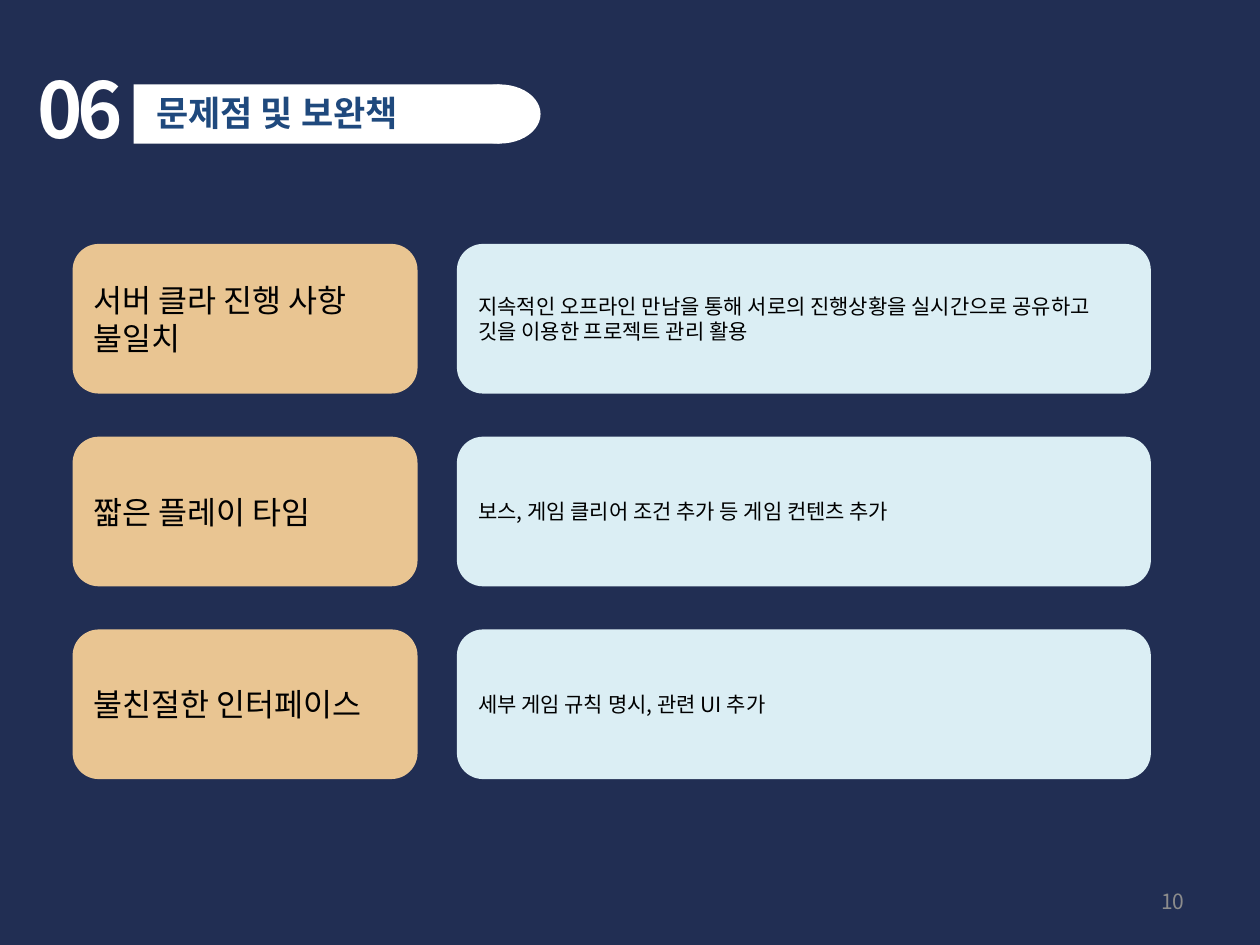
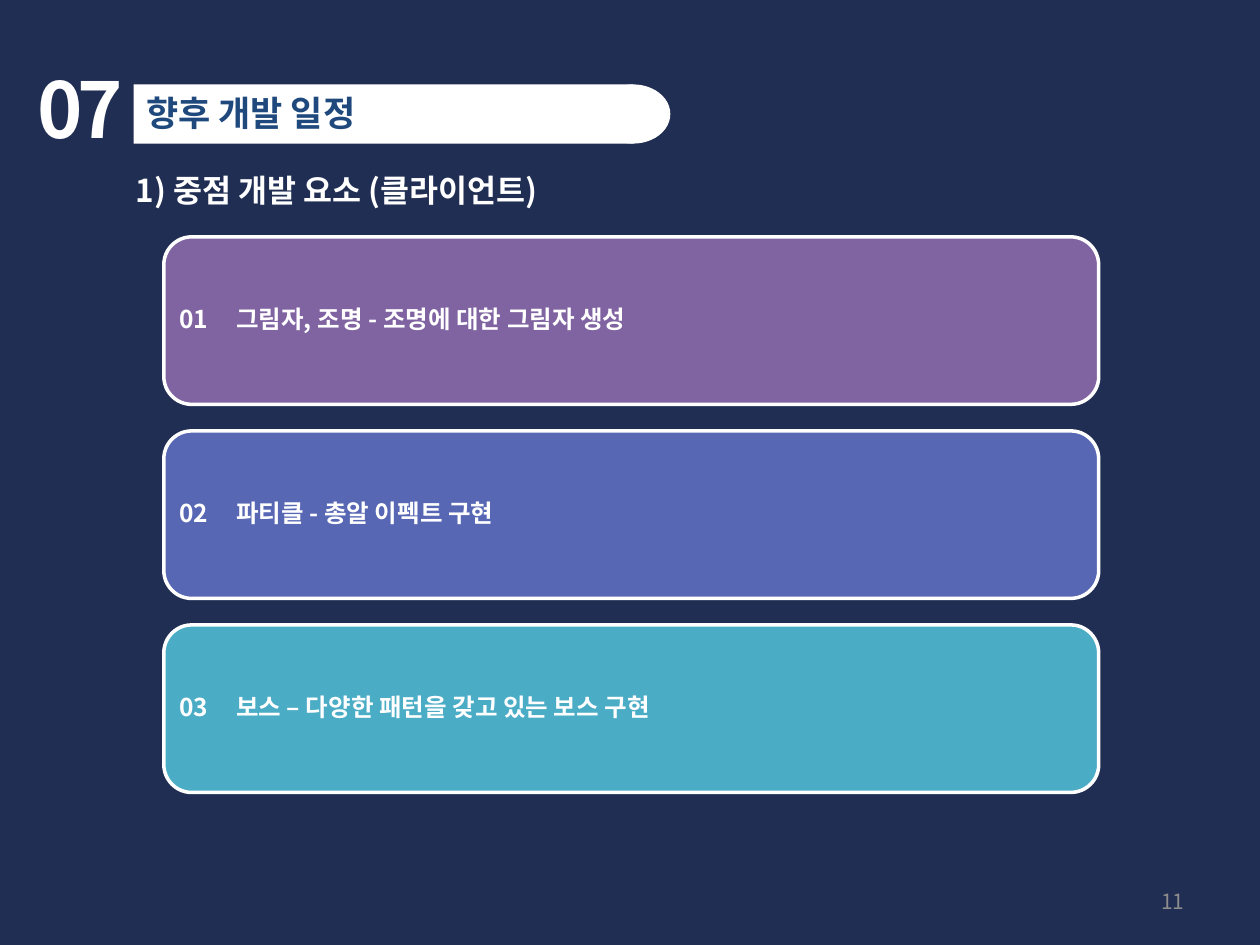
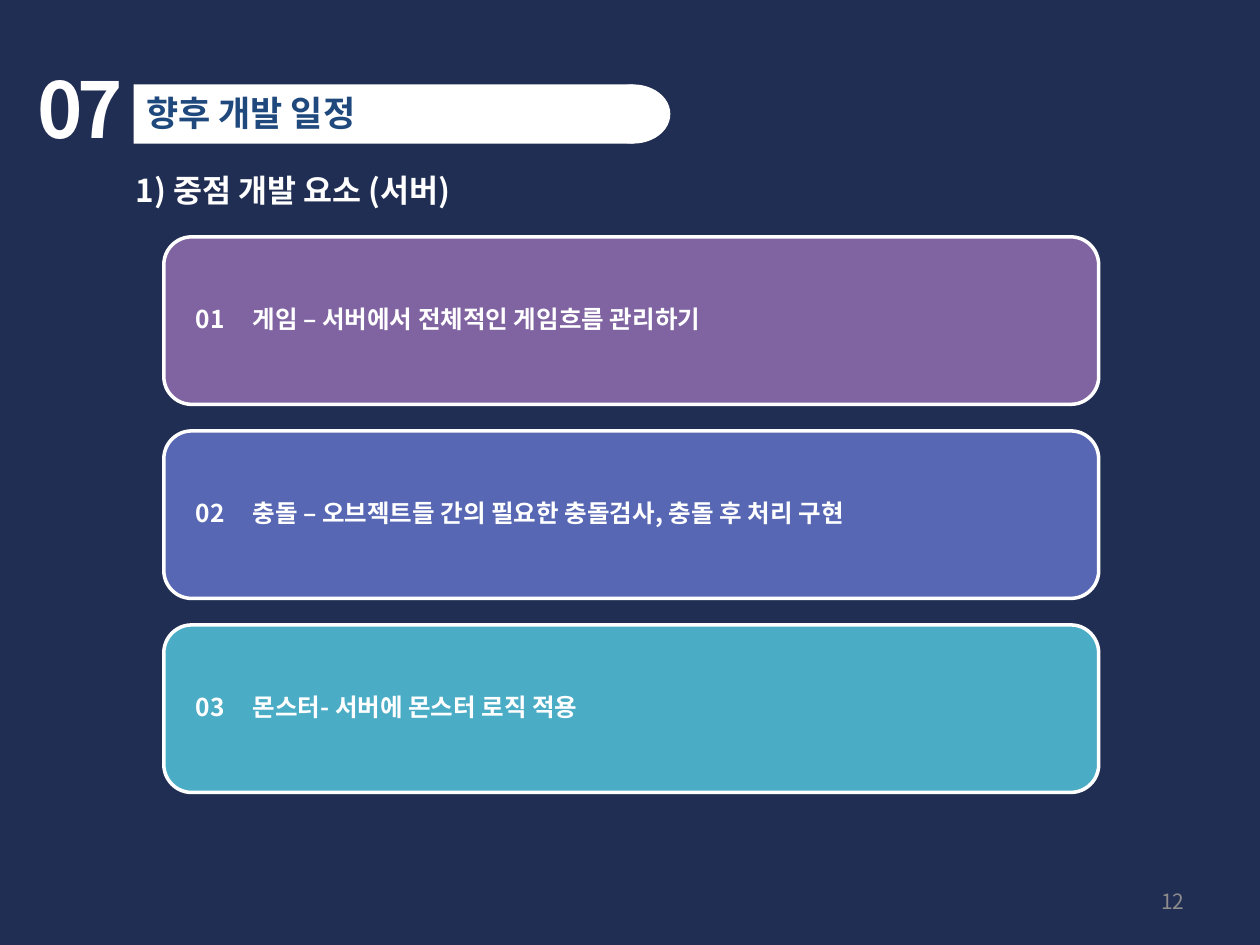
from lxml import etree
from pptx import Presentation
from pptx.dml.color import RGBColor
from pptx.enum.shapes import MSO_SHAPE
from pptx.enum.text import MSO_ANCHOR, MSO_AUTO_SIZE, PP_ALIGN
from pptx.oxml.ns import qn
from pptx.util import Inches, Pt

RECTANGLE = MSO_SHAPE.RECTANGLE
ELLIPSE = MSO_SHAPE.OVAL
ROUNDED = MSO_SHAPE.ROUNDED_RECTANGLE
TOP, MIDDLE = MSO_ANCHOR.TOP, MSO_ANCHOR.MIDDLE
LEFT, RIGHT = PP_ALIGN.LEFT, PP_ALIGN.RIGHT
TITLE_ONLY = 5

FONT = "Noto Sans CJK KR"
COLORS = {
    "background": "212E53",
    "white": "FFFFFF",
    "black": "000000",
    "title": "1F497D",
    "page_number": "8C8C8C",
    "problem": "E9C592",
    "solution": "DBEEF4",
    "purple": "8064A2",
    "indigo": "5767B4",
    "teal": "4BACC6",
}
STYLES = {
    "section": {"size": Pt(44), "bold": True, "color": "white"},
    "title": {"size": Pt(20), "bold": True, "color": "title"},
    "subtitle": {"size": Pt(18), "bold": True, "color": "white"},
    "problem": {"size": Pt(18), "bold": False, "color": "black"},
    "solution": {"size": Pt(12), "bold": False, "color": "black"},
    "task": {"size": Pt(14), "bold": True, "color": "white"},
    "page_number": {"size": Pt(12), "bold": False, "color": "page_number"},
}

PROBLEMS = [
    ("서버 클라 진행 사항 불일치",
     "지속적인 오프라인 만남을 통해 서로의 진행상황을 실시간으로 공유하고 깃을 이용한 프로젝트 관리 활용"),
    ("짧은 플레이 타임", "보스, 게임 클리어 조건 추가 등 게임 컨텐츠 추가"),
    ("불친절한 인터페이스", "세부 게임 규칙 명시, 관련 UI 추가"),
]
CLIENT_TASKS = [
    "그림자, 조명 - 조명에 대한 그림자 생성",
    "파티클 - 총알 이펙트 구현",
    "보스 – 다양한 패턴을 갖고 있는 보스 구현",
]
SERVER_TASKS = [
    "게임 – 서버에서 전체적인 게임흐름 관리하기",
    "충돌 – 오브젝트들 간의 필요한 충돌검사, 충돌 후 처리 구현",
    "몬스터- 서버에 몬스터 로직 적용",
]
TASK_COLORS = ["purple", "indigo", "teal"]


def color(name):
    return RGBColor.from_string(COLORS[name])


def write(shape, text, style, anchor=TOP, alignment=LEFT, wrap=True):
    """Fill a shape with one paragraph in a named style and return the paragraph."""
    frame = shape.text_frame
    settings = {"auto_size": MSO_AUTO_SIZE.NONE, "word_wrap": wrap,
                "vertical_anchor": anchor}
    for name, value in settings.items():
        setattr(frame, name, value)
    paragraph = frame.paragraphs[0]
    paragraph.alignment = alignment
    run = paragraph.add_run()
    run.text = text
    format_values = dict(STYLES[style], name=FONT)
    run.font.color.rgb = color(format_values.pop("color"))
    for name, value in format_values.items():
        setattr(run.font, name, value)
    east_asian = etree.SubElement(run.font._element, qn("a:ea"))
    east_asian.set("typeface", FONT)
    return paragraph


def add_text(slide, box, text, style, **options):
    shape = slide.shapes.add_textbox(*map(Inches, box))
    return write(shape, text, style, **options)


def add_block(slide, kind, box, fill, line=None):
    shape = slide.shapes.add_shape(kind, *map(Inches, box))
    shape.shadow.inherit = False
    shape.fill.solid()
    shape.fill.fore_color.rgb = color(fill)
    if line:
        shape.line.color.rgb = color(line)
        shape.line.width = Pt(2)
    else:
        shape.line.fill.background()
    return shape


def add_header(slide, section, title, band, cap_width, title_left):
    """Place the section number and a white band with a round end behind the title."""
    left, top, width, height = band
    number = add_text(slide, (0.2, 0.44, 1.1, 0.84), section, "section")
    number.runs[0].font._element.set("spc", "-300")
    add_block(slide, RECTANGLE, (left, top, width - cap_width / 2, height), "white")
    add_block(slide, ELLIPSE, (left + width - cap_width, top, cap_width, height), "white")
    placeholder = slide.shapes.title
    slide.shapes._spTree.append(placeholder._element)
    title_box = {"left": title_left, "top": top + 0.01,
                 "width": width - cap_width / 2, "height": 0.44}
    for name, value in title_box.items():
        setattr(placeholder, name, Inches(value))
    write(placeholder, title, "title")


def add_slide(presentation, page_number, **header):
    slide = presentation.slides.add_slide(presentation.slide_layouts[TITLE_ONLY])
    add_header(slide, **header)
    add_text(slide, (7.17, 6.95, 2.33, 0.4), str(page_number), "page_number",
             anchor=MIDDLE, alignment=RIGHT)
    return slide


def add_problem_grid(slide, box, problem_width=2.71, column_gap=0.34, row_gap=0.37):
    left, top, width, height = box
    row_height = (height - row_gap * (len(PROBLEMS) - 1)) / len(PROBLEMS)
    solution_left = left + problem_width + column_gap
    columns = [("problem", left, problem_width),
               ("solution", solution_left, left + width - solution_left)]
    for row, texts in enumerate(PROBLEMS):
        row_top = top + row * (row_height + row_gap)
        for (style, cell_left, cell_width), text in zip(columns, texts):
            cell = add_block(slide, ROUNDED, (cell_left, row_top, cell_width, row_height),
                             style, line=style)
            write(cell, text, style, anchor=MIDDLE)


def add_task_list(slide, box, tasks, number_offset, gap=0.21):
    """Stack numbered bars; a hanging indent keeps the task clear of its number."""
    left, top, width, height = box
    bar_height = (height - gap * (len(tasks) - 1)) / len(tasks)
    hanging = Inches(0.45)
    for index, (task, fill) in enumerate(zip(tasks, TASK_COLORS)):
        bar_top = top + index * (bar_height + gap)
        bar = add_block(slide, ROUNDED, (left, bar_top, width, bar_height), fill, line="white")
        for side in ("left", "top", "right", "bottom"):
            setattr(bar.text_frame, f"margin_{side}", Inches(0.06))
        paragraph = write(bar, f"{index + 1:02}\t{task}", "task", anchor=MIDDLE)
        paragraph.line_spacing = 0.9
        properties = paragraph._p.get_or_add_pPr()
        properties.set("marL", str(Inches(number_offset) + hanging))
        properties.set("indent", str(-hanging))


def build_problem_slide(presentation, page_number):
    slide = add_slide(presentation, page_number, section="06", title="문제점 및 보완책",
                      band=(1.06, 0.67, 3.23, 0.47), cap_width=0.65, title_left=1.14)
    add_problem_grid(slide, (0.59, 1.95, 8.53, 4.22))


def build_schedule_slide(presentation, page_number, subtitle, tasks, number_offset):
    slide = add_slide(presentation, page_number, section="07", title="향후 개발 일정",
                      band=(1.06, 0.67, 4.26, 0.47), cap_width=0.59, title_left=1.06)
    add_text(slide, (0.98, 1.31, 3.76, 0.4), subtitle, "subtitle", wrap=False)
    add_task_list(slide, (1.3, 1.88, 7.42, 4.41), tasks, number_offset)


def main():
    presentation = Presentation()
    presentation.slide_width, presentation.slide_height = Inches(10), Inches(7.5)
    background = presentation.slide_master.background.fill
    background.solid()
    background.fore_color.rgb = color("background")
    build_problem_slide(presentation, 10)
    build_schedule_slide(presentation, 11, "1) 중점 개발 요소 (클라이언트)", CLIENT_TASKS, 0)
    build_schedule_slide(presentation, 12, "1) 중점 개발 요소 (서버)", SERVER_TASKS, 0.13)
    presentation.save("out.pptx")


if __name__ == "__main__":
    main()
